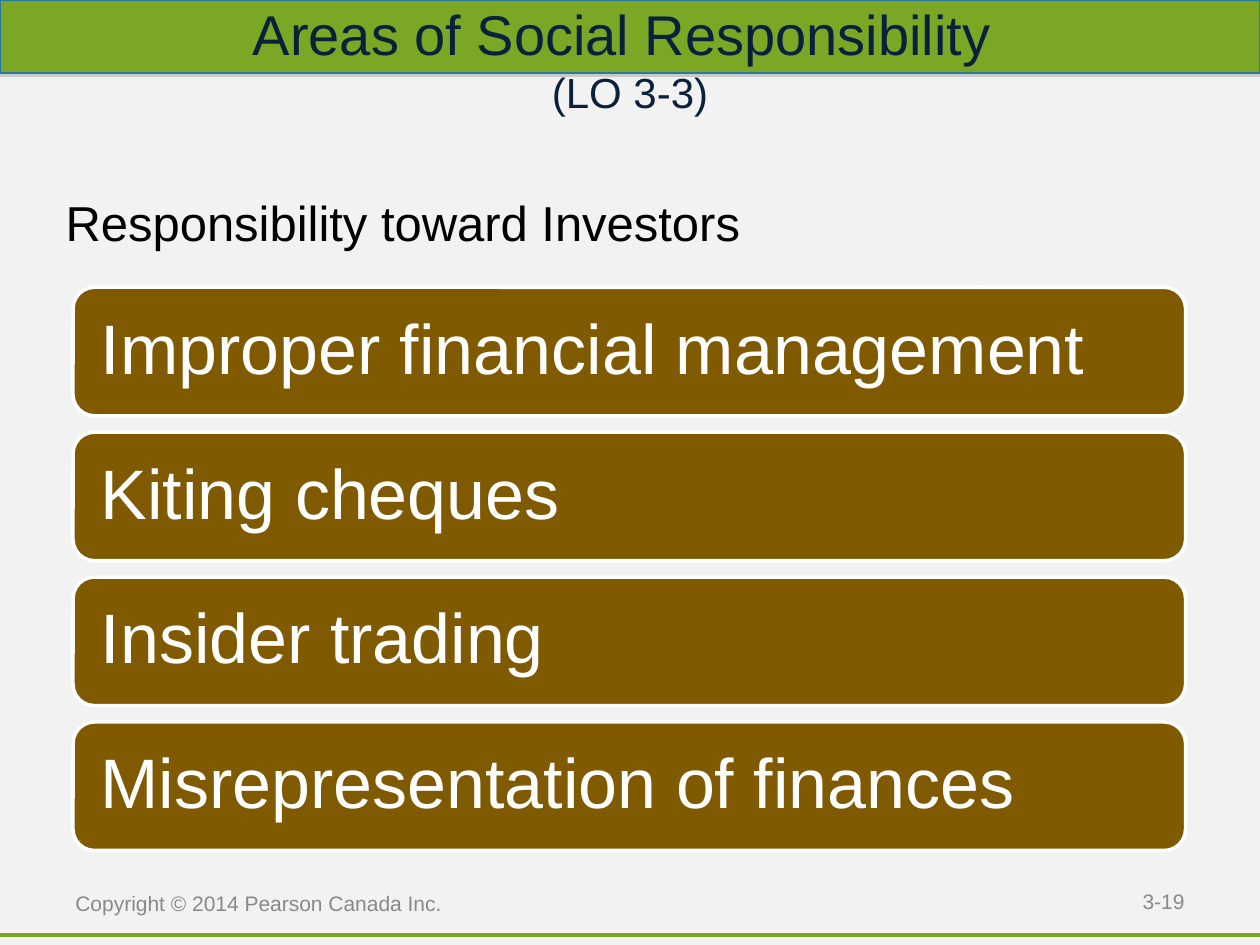
import lxml.etree
import pptx
import pptx.dml.color
import pptx.enum.shapes
import pptx.enum.text
import pptx.oxml
import pptx.oxml.ns
import pptx.util

Inches = pptx.util.Inches
Pt = pptx.util.Pt
ALIGN = pptx.enum.text.PP_ALIGN
ANCHOR = pptx.enum.text.MSO_ANCHOR
SHAPE = pptx.enum.shapes.MSO_SHAPE

COLORS = {
    "background": "F2F2F2",
    "green": "7CA724",
    "bar_edge": "287A9E",
    "shadow": "808080",
    "title": "09213B",
    "black": "000000",
    "footer": "898989",
    "brown": "7F5A00",
    "white": "FFFFFF",
}
FONT = "Arial"
ISSUES = [
    "Improper financial management",
    "Kiting cheques",
    "Insider trading",
    "Misrepresentation of finances",
]


def color(name):
    return pptx.dml.color.RGBColor.from_string(COLORS[name])


def place(shape, left, top, width, height):
    shape.left, shape.top = Inches(left), Inches(top)
    shape.width, shape.height = Inches(width), Inches(height)


def format_span(span, size, color_name):
    span.font.name = FONT
    span.font.size = Pt(size)
    span.font.color.rgb = color(color_name)


def write(shape, text, size, color_name, align=ALIGN.LEFT, anchor=ANCHOR.MIDDLE, inset=(0.1, 0.05)):
    """Fill a shape with one paragraph and return that paragraph."""
    frame = shape.text_frame
    frame.text = text
    frame.word_wrap = True
    frame.auto_size = pptx.enum.text.MSO_AUTO_SIZE.NONE
    frame.vertical_anchor = anchor
    frame.margin_left = frame.margin_right = Inches(inset[0])
    frame.margin_top = frame.margin_bottom = Inches(inset[1])
    paragraph = frame.paragraphs[0]
    paragraph.alignment = align
    for span in paragraph.runs:
        format_span(span, size, color_name)
    return paragraph


def add_panel(page, kind, bounds, fill, line, line_width):
    panel = page.shapes.add_shape(kind, *map(Inches, bounds))
    panel.shadow.inherit = False
    panel.fill.solid()
    panel.fill.fore_color.rgb = color(fill)
    panel.line.color.rgb = color(line)
    panel.line.width = Pt(line_width)
    return panel


def add_title_bar(page):
    bar = add_panel(page, SHAPE.RECTANGLE, (0, 0, 10, 0.58), "green", "bar_edge", 0.75)
    effects = bar.element.spPr.find(pptx.oxml.ns.qn("a:effectLst"))
    effects.append(pptx.oxml.parse_xml(
        f'<a:outerShdw {pptx.oxml.ns.nsdecls("a")} dist="{Pt(1.8)}" dir="5400000">'
        f'<a:srgbClr val="{COLORS["shadow"]}"><a:alpha val="35000"/></a:srgbClr>'
        '</a:outerShdw>'))
    page.shapes.title.element.addprevious(bar.element)


def add_bottom_rule(page):
    rule = page.shapes.add_connector(
        pptx.enum.shapes.MSO_CONNECTOR.STRAIGHT,
        Inches(0), Inches(7.42), Inches(10), Inches(7.42))
    rule.line.color.rgb = color("green")
    rule.line.width = Pt(2)
    lxml.etree.SubElement(rule.element.spPr, pptx.oxml.ns.qn("a:effectLst"))


def set_title(page):
    title = page.shapes.title
    place(title, 0, 0, 10, 0.92)
    paragraph = write(title, "Areas of Social Responsibility \v(LO 3-3)", 32, "title",
                      ALIGN.CENTER, inset=(0.25, 0))
    paragraph.runs[1].font.size = Pt(24)


def set_heading(page):
    heading = page.placeholders[1]
    place(heading, 0.42, 1.2, 9.17, 0.83)
    paragraph = write(heading, "Responsibility toward Investors", 28, "black", anchor=ANCHOR.TOP)
    properties = paragraph._p.get_or_add_pPr()
    properties.set("marL", "0")
    properties.set("indent", "0")
    lxml.etree.SubElement(properties, pptx.oxml.ns.qn("a:buNone"))
    paragraph.line_spacing = 1.6
    paragraph.space_before = Pt(0)


def add_issues(page):
    for row, issue in enumerate(ISSUES):
        bounds = (0.58, 2.28 + 1.15 * row, 8.83, 1.02)
        panel = add_panel(page, SHAPE.ROUNDED_RECTANGLE, bounds, "brown", "white", 2)
        paragraph = write(panel, issue, 40, "white", inset=(0.17, 0.17))
        paragraph.line_spacing = 0.9


def add_footer(page, text, bounds, align):
    box = page.shapes.add_textbox(*map(Inches, bounds))
    write(box, text, 12, "footer", align)


def main():
    deck = pptx.Presentation()
    deck.slide_width, deck.slide_height = Inches(10), Inches(7.5)
    page = deck.slides.add_slide(deck.slide_layouts[1])
    page.background.fill.solid()
    page.background.fill.fore_color.rgb = color("background")
    add_title_bar(page)
    add_bottom_rule(page)
    set_title(page)
    set_heading(page)
    add_footer(page, "Copyright © 2014 Pearson Canada Inc.", (0.5, 6.83, 3.17, 0.67), ALIGN.LEFT)
    add_footer(page, "3-19", (7.17, 6.95, 2.33, 0.4), ALIGN.RIGHT)
    add_issues(page)
    deck.save("out.pptx")


if __name__ == "__main__":
    main()
